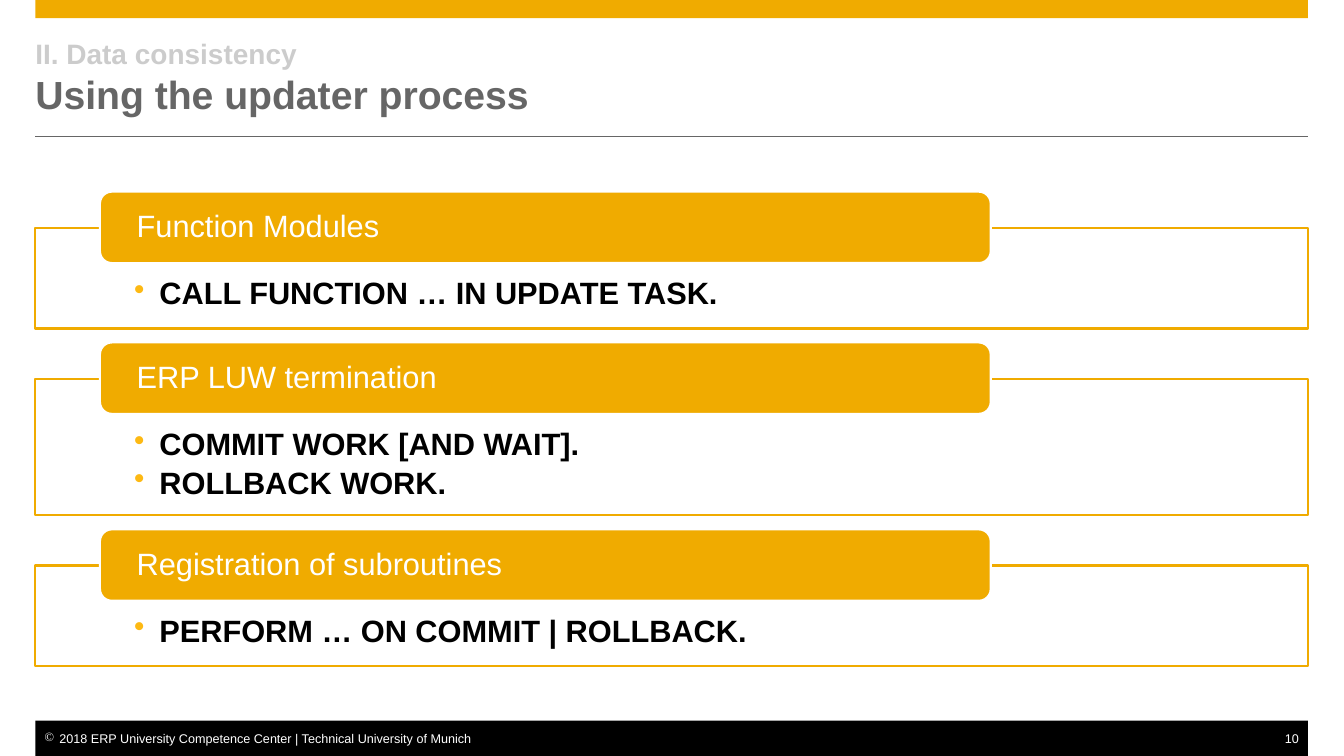
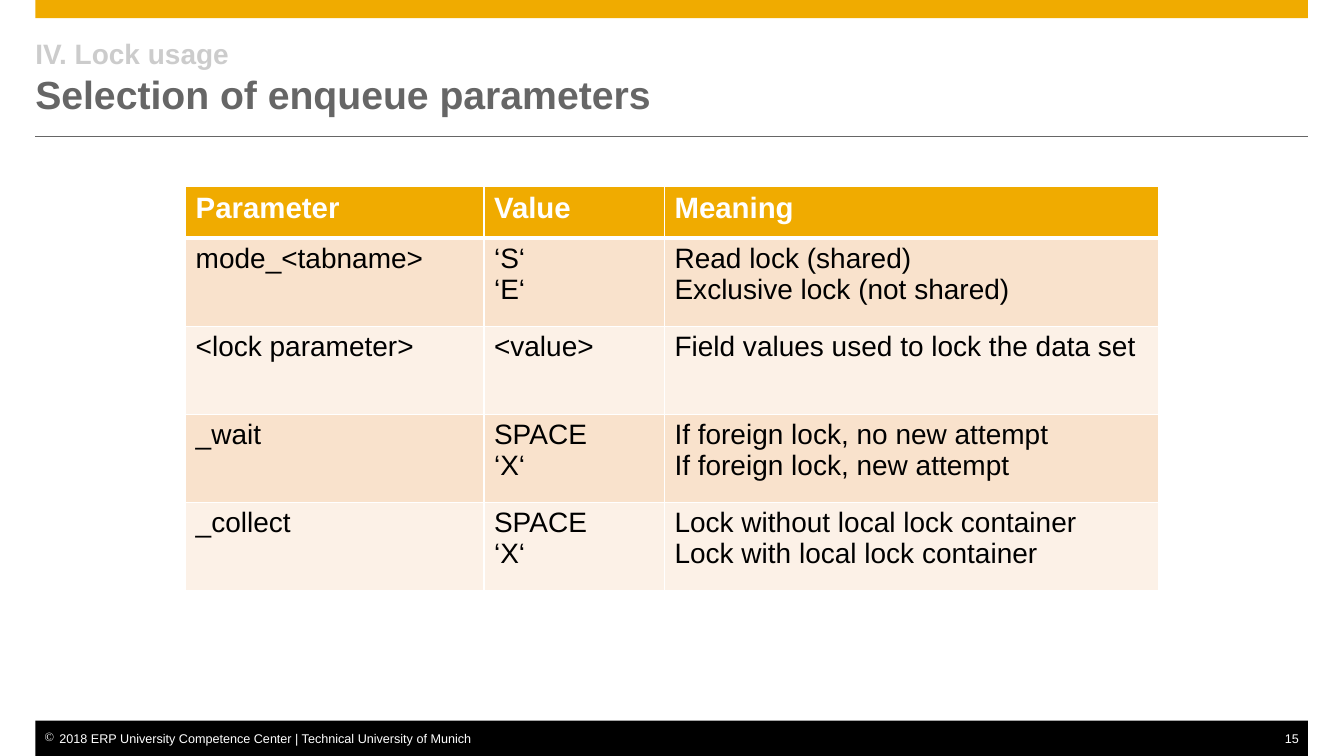
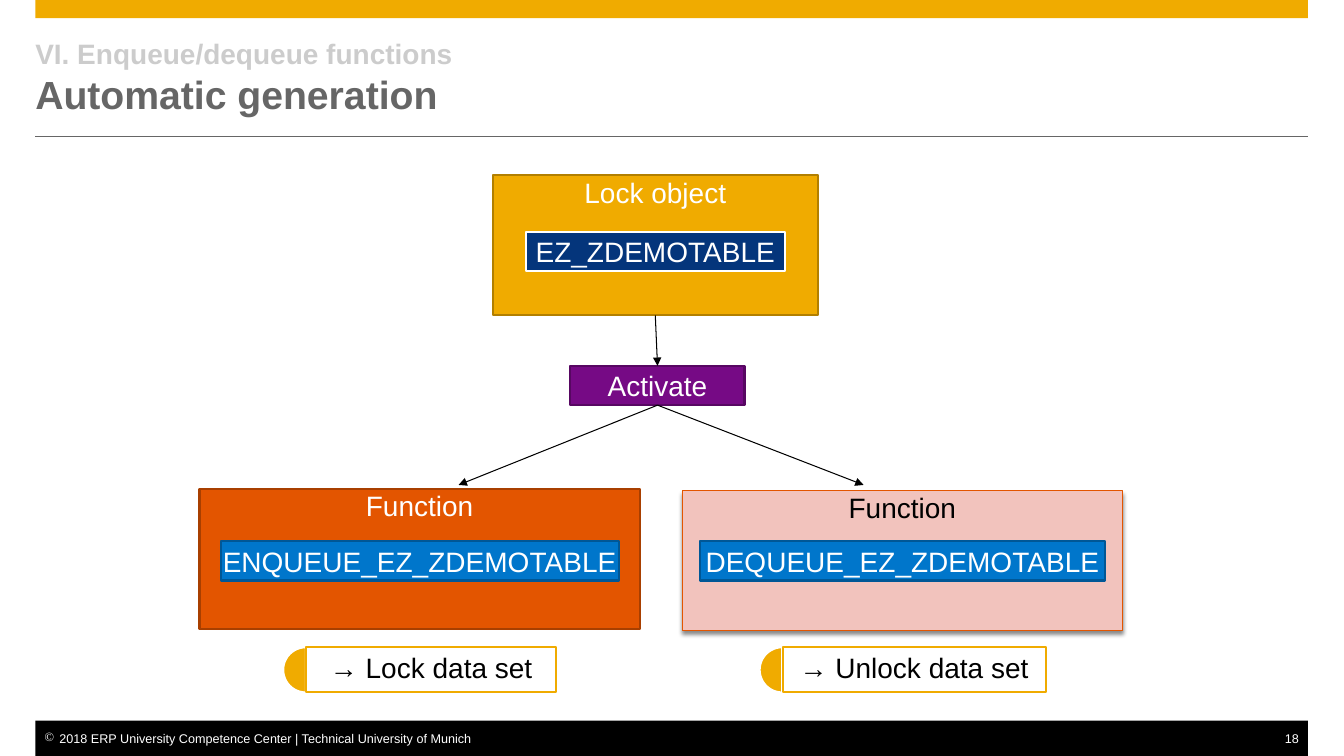
from collections import namedtuple
from dataclasses import dataclass

from lxml import etree
from pptx import Presentation
from pptx.dml.color import RGBColor
from pptx.enum.shapes import MSO_CONNECTOR, MSO_SHAPE
from pptx.enum.text import MSO_ANCHOR, PP_ALIGN
from pptx.oxml.ns import qn
from pptx.util import Cm, Pt

RECT, ROUNDED, PIE = MSO_SHAPE.RECTANGLE, MSO_SHAPE.ROUNDED_RECTANGLE, MSO_SHAPE.PIE
STRAIGHT = MSO_CONNECTOR.STRAIGHT
LEFT, CENTER, RIGHT = PP_ALIGN.LEFT, PP_ALIGN.CENTER, PP_ALIGN.RIGHT
TOP, MIDDLE = MSO_ANCHOR.TOP, MSO_ANCHOR.MIDDLE
SIDE_TOP, SIDE_BOTTOM = 0, 2

Box = namedtuple("Box", "x y w h")  # centimetres
Style = namedtuple("Style", "size color bold", defaults=(False,))


@dataclass(frozen=True)
class Theme:
    font: str = "Arial"
    white: str = "FFFFFF"
    black: str = "000000"
    gold: str = "F0AB00"
    gold_edge: str = "B27F00"
    bullet: str = "FDB913"
    grey: str = "666666"
    light_grey: str = "CCCCCC"
    navy: str = "04357B"
    blue: str = "0076CB"
    blue_edge: str = "005796"
    purple: str = "760A85"
    purple_edge: str = "570762"
    orange: str = "E35500"
    orange_edge: str = "A83F00"
    rose: str = "F2C3BD"
    row_dark: str = "F9E2CC"
    row_light: str = "FCF1E7"
    footer: float = 9
    body: float = 20
    table_head: float = 21
    section: float = 22
    title: float = 28


T = Theme()
SLIDE = Box(0, 0, 33.88, 19.05)
CONTENT = Box(0.89, 4.42, 32.08, 13)
COPYRIGHT = "2018 ERP University Competence Center | Technical University of Munich"


def rgb(code):
    return RGBColor.from_string(code)


def lengths(box):
    return [Cm(value) for value in box]


def add_box(slide, box, fill, edge=None, kind=RECT, width=1.5):
    shape = slide.shapes.add_shape(kind, *lengths(box))
    shape.shadow.inherit = False
    shape.fill.solid()
    shape.fill.fore_color.rgb = rgb(fill)
    if edge:
        shape.line.color.rgb = rgb(edge)
        shape.line.width = Pt(width)
    else:
        shape.line.fill.background()
    return shape


def add_bullet(paragraph, char, color, indent):
    properties = paragraph._p.get_or_add_pPr()
    properties.set("marL", str(Cm(indent)))
    properties.set("indent", str(-Cm(indent)))
    bullet_color = etree.SubElement(properties, qn("a:buClr"))
    etree.SubElement(bullet_color, qn("a:srgbClr"), val=color)
    etree.SubElement(properties, qn("a:buChar"), char=char)


def write(frame, lines, align=LEFT, bullet=None, spacing=None, after=0):
    """Fill a frame with (text, Style) lines; bullet is (char, colour, indent)."""
    for index, (text, style) in enumerate(lines):
        paragraph = frame.add_paragraph() if index else frame.paragraphs[0]
        if bullet:
            add_bullet(paragraph, *bullet)
        paragraph.alignment = align
        paragraph.space_after = Pt(after)
        if spacing:
            paragraph.line_spacing = spacing
        run = paragraph.add_run()
        run.text = text
        run.font.name = T.font
        run.font.size = Pt(style.size)
        run.font.bold = style.bold
        run.font.color.rgb = rgb(style.color)


def set_frame(shape, anchor=MIDDLE, insets=(0, 0, 0, 0), wrap=True):
    """Set anchor, wrapping and insets (left, top, right, bottom)."""
    frame = shape.text_frame
    frame.word_wrap = wrap
    frame.vertical_anchor = anchor
    (frame.margin_left, frame.margin_top,
     frame.margin_right, frame.margin_bottom) = lengths(insets)
    return frame


def add_line(slide, start, end, color, width, arrow=False):
    line = slide.shapes.add_connector(STRAIGHT, *lengths(start + end))
    line.line.color.rgb = rgb(color)
    line.line.width = Pt(width)
    if arrow:
        etree.SubElement(line.line._get_or_add_ln(), qn("a:tailEnd"), type="triangle")
    etree.SubElement(line._element.spPr, qn("a:effectLst"))
    return line


def add_frame_slide(deck, section, title, number):
    """Add a slide with its top band, title, rule and footer."""
    slide = deck.slides.add_slide(deck.slide_layouts[6])
    x, w = CONTENT.x, CONTENT.w
    add_box(slide, Box(x, 0, w, 0.46), T.gold)
    add_line(slide, (x, 3.43), (x + w, 3.43), T.grey, 0.5)

    heading = slide.shapes.add_textbox(*lengths(Box(x, 0.89, w, 2.11)))
    write(set_frame(heading), [(section, Style(T.body, T.light_grey, True)),
                               (title, Style(T.title, T.grey, True))])

    footer_style = Style(T.footer, T.white)
    footer = Box(x, 18.16, w, 0.89)
    bar = add_box(slide, footer, T.black)
    write(set_frame(bar, insets=(0.23, 0, 0, 0)), [(COPYRIGHT, footer_style)],
          bullet=("©", T.white, 0.38))
    page = slide.shapes.add_textbox(*lengths(Box(x + w - 2, footer.y, 2, footer.h)))
    write(set_frame(page, insets=(0, 0, 0.23, 0)), [(str(number), footer_style)], RIGHT)
    return slide


def add_section_list(slide, box, sections):
    """Stack outlined panels, each with a heading tab over its top edge."""
    tab_height, overlap, gap = 1.8, 0.89, 0.35
    tab_top = box.y
    for heading, statements in sections:
        panel = Box(box.x, tab_top + tab_height - overlap, box.w,
                    1.63 + 0.91 * len(statements))
        body = add_box(slide, panel, T.white, T.gold)
        write(set_frame(body, TOP, (2.49, 1.27, 2.49, 0.42)),
              [(text, Style(T.section, T.black, True)) for text in statements],
              bullet=("•", T.bullet, 0.64), spacing=0.9, after=4)
        tab = add_box(slide, Box(box.x + 1.63, tab_top, 0.7 * box.w, tab_height),
                      T.gold, T.white, ROUNDED)
        write(set_frame(tab, insets=(0.84, 0, 0.84, 0)),
              [(heading, Style(T.section, T.white))], spacing=0.9)
        tab_top = panel.y + panel.h + gap


def set_borders(cell, widths):
    """Draw white borders, widths in points by side."""
    properties = cell._tc.get_or_add_tcPr()
    for index, (side, width) in enumerate(widths.items()):
        line = etree.Element(qn(f"a:ln{side}"), w=str(Pt(width)))
        fill = etree.SubElement(line, qn("a:solidFill"))
        etree.SubElement(fill, qn("a:srgbClr"), val=T.white)
        properties.insert(index, line)


def add_parameter_table(slide, box, columns, rows):
    head_height = 1.3
    row_height = (box.h - head_height) / (len(rows) - 1)
    table = slide.shapes.add_table(len(rows), len(columns), *lengths(box)).table
    for column, width in zip(table.columns, columns):
        column.width = Cm(width)
    for r, texts in enumerate(rows):
        table.rows[r].height = Cm(row_height if r else head_height)
        if r == 0:
            fill, style = T.gold, Style(T.table_head, T.white, True)
        else:
            fill = T.row_dark if r % 2 else T.row_light
            style = Style(T.body, T.black)
        for c, text in enumerate(texts):
            cell = table.cell(r, c)
            cell.fill.solid()
            cell.fill.fore_color.rgb = rgb(fill)
            set_borders(cell, {"L": 1, "R": 1, "T": 3 if r == 1 else 1,
                               "B": 1 if r else 3})
            write(cell.text_frame, [(line, style) for line in text.split("\n")])


def add_label(slide, box, text, fill, edge, color=T.white, anchor=MIDDLE, width=1.5):
    label = add_box(slide, box, fill, edge, width=width)
    write(set_frame(label, anchor, wrap=False), [(text, Style(T.body, color))], CENTER)
    return label


def add_card(slide, box, title, colors, name, name_box, name_colors, edge_width=1.5):
    """Add a titled card holding a centred name; name_box is (top, width)."""
    card = add_label(slide, box, title, *colors, anchor=TOP, width=edge_width)
    top, width = name_box
    add_label(slide, Box(box.x + (box.w - width) / 2, box.y + top, width, 0.99),
              name, *name_colors)
    return card


def add_soft_shadow(shape):
    effects = shape._element.spPr.find(qn("a:effectLst"))
    shadow = etree.SubElement(effects, qn("a:outerShdw"), blurRad=str(Pt(3)),
                              dist=str(Pt(2.4)), dir="5400000", rotWithShape="0")
    color = etree.SubElement(shadow, qn("a:srgbClr"), val=T.black)
    etree.SubElement(color, qn("a:alpha"), val="45000")


def add_result(slide, box, text):
    """Add an outlined result with a half disc on its left."""
    disc = add_box(slide, Box(box.x, box.y, box.h, box.h), T.gold, T.white, PIE)
    disc.adjustments[0], disc.adjustments[1] = 54, 162
    offset = 0.58
    panel = add_box(slide, Box(box.x + offset, box.y, box.w - offset, box.h),
                    T.white, T.gold)
    write(set_frame(panel, insets=(0.2,) * 4), [(text, Style(T.body, T.black))],
          CENTER, spacing=0.9)


def add_generation_diagram(slide, box):
    def place(x, y, w, h):
        return Box(box.x + x, box.y + y, w, h)

    lock = add_card(slide, place(11.53, 0, 8.2, 3.53), "Lock object",
                    (T.gold, T.gold_edge), "EZ_ZDEMOTABLE", (1.42, 6.53),
                    (T.navy, T.white))
    activate = add_label(slide, place(13.49, 4.8, 4.39, 0.99), "Activate",
                         T.purple, T.purple_edge)
    name_colors = (T.blue, T.blue_edge)
    add_card(slide, place(4.14, 7.9, 11.1, 3.53), "Function",
             (T.orange, T.orange_edge), "ENQUEUE_EZ_ZDEMOTABLE", (1.32, 10.03),
             name_colors)
    dequeue = add_card(slide, place(16.31, 7.95, 11.1, 3.51), "Function",
                       (T.rose, T.orange, T.black), "DEQUEUE_EZ_ZDEMOTABLE",
                       (1.27, 10.21), name_colors, edge_width=0.79)
    add_soft_shadow(dequeue)

    hub = place(15.68, 5.79, 0, 0)[:2]
    step = add_line(slide, hub, hub, T.black, 0.75, arrow=True)
    step.begin_connect(lock, SIDE_BOTTOM)
    step.end_connect(activate, SIDE_TOP)
    for target_x in (10.67, 20.88):
        target = place(target_x, 7.8, 0, 0)[:2]
        branch = add_line(slide, hub, target, T.black, 0.75, arrow=True)
        branch.begin_connect(activate, SIDE_BOTTOM)

    add_result(slide, place(6.25, 11.89, 6.88, 1.14), "→ Lock data set")
    add_result(slide, place(18.26, 11.89, 7.21, 1.14), "→ Unlock data set")


def main():
    deck = Presentation()
    deck.slide_width, deck.slide_height = Cm(SLIDE.w), Cm(SLIDE.h)

    updater = add_frame_slide(deck, "II. Data consistency",
                              "Using the updater process", 10)
    add_section_list(updater, CONTENT._replace(y=4.83), [
        ("Function Modules", ["CALL FUNCTION … IN UPDATE TASK."]),
        ("ERP LUW termination", ["COMMIT WORK [AND WAIT].", "ROLLBACK WORK."]),
        ("Registration of subroutines", ["PERFORM … ON COMMIT | ROLLBACK."]),
    ])

    parameters = add_frame_slide(deck, "IV. Lock usage",
                                 "Selection of enqueue parameters", 15)
    add_parameter_table(parameters, Box(4.68, 4.7, 24.52, 10.18), (7.52, 4.55, 12.45), [
        ("Parameter", "Value", "Meaning"),
        ("mode_<tabname>", "‘S‘\n‘E‘",
         "Read lock (shared)\nExclusive lock (not shared)"),
        ("<lock parameter>", "<value>", "Field values used to lock the data set"),
        ("_wait", "SPACE\n‘X‘",
         "If foreign lock, no new attempt\nIf foreign lock, new attempt"),
        ("_collect", "SPACE\n‘X‘",
         "Lock without local lock container\nLock with local lock container"),
    ])

    generation = add_frame_slide(deck, "VI. Enqueue/dequeue functions",
                                 "Automatic generation", 18)
    add_generation_diagram(generation, CONTENT)

    deck.save("out.pptx")


if __name__ == "__main__":
    main()
